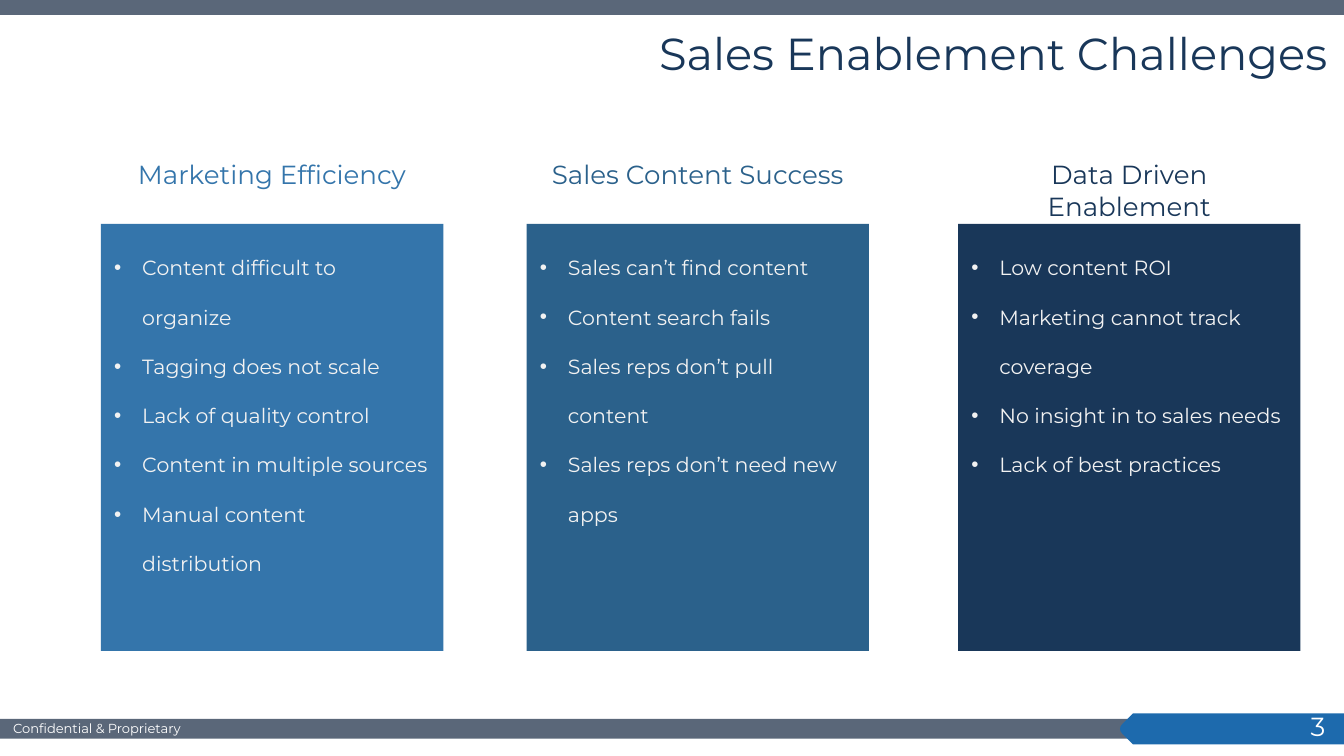
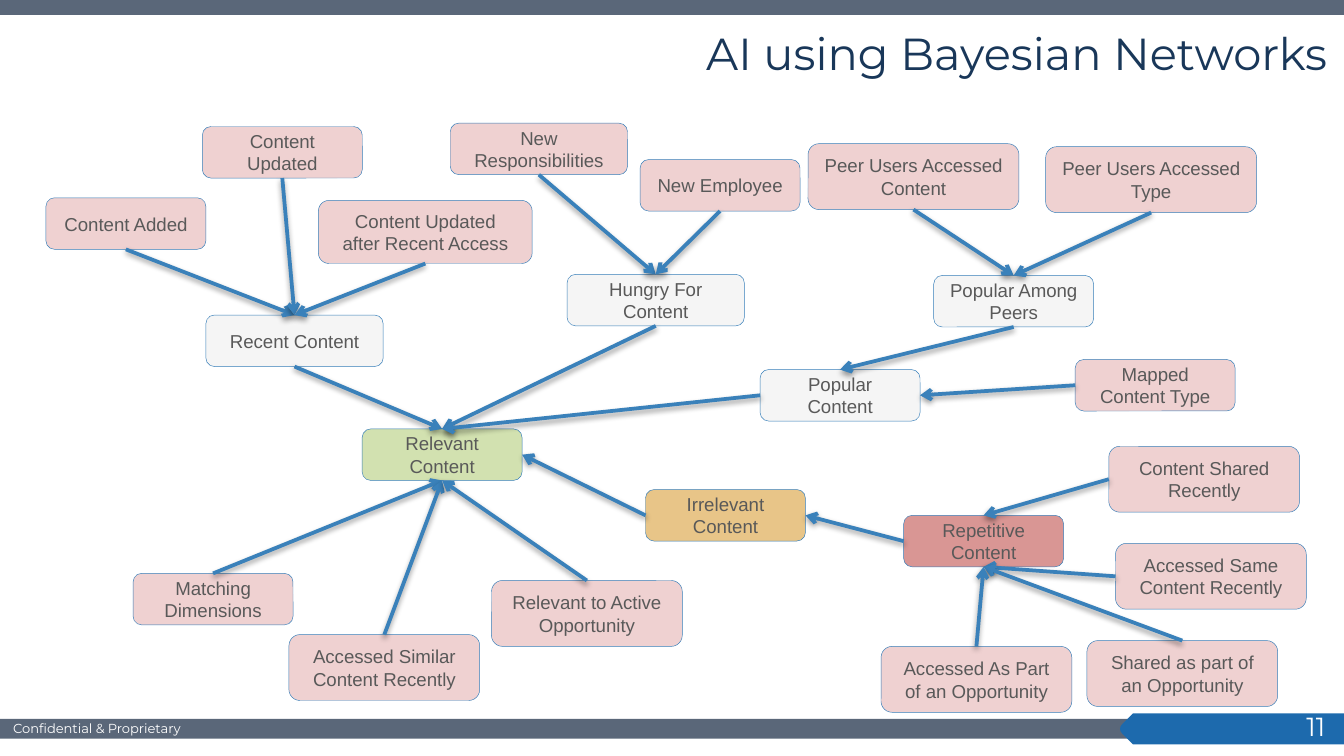
from dataclasses import dataclass

from lxml.etree import SubElement
from pptx import Presentation
from pptx.dml.color import RGBColor
from pptx.enum.shapes import MSO_CONNECTOR as CONN, MSO_SHAPE as SHAPE
from pptx.enum.text import MSO_ANCHOR as ANCHOR, PP_ALIGN as ALIGN
from pptx.oxml.ns import qn
from pptx.util import Pt

SANS, BODY = "Montserrat", "Arial"
WHITE, SLATE, TAG_BLUE, NAVY = "FFFFFF", "5A6779", "1D6AAD", "193759"
CARD_TEXT, NODE_TEXT, NODE_LINE, ARROW = "F2F2F2", "595959", "367EB9", "3A81BA"
PINK, GREY, GREEN, AMBER, RED = "EFD1D1", "F5F5F5", "D2E1B0", "E8C588", "D99694"
TOP, LEFT, BOTTOM, RIGHT = range(4)
SMALL, MEDIUM, LARGE = (85.7, 27.6), (102.2, 35.3), (113, 35.3)
HUB, WIDE = (95, 27.6), (114.5, 33.8)
CARD_TOP, CARD_W, CARD_H = 120, 183.4, 228.8
TAG_OUTLINE = [(720, 382.2), (607, 382.2), (601.2, 388), (600.3, 389.2), (600, 390.5),
               (600.3, 391.8), (601.2, 393), (607, 398.8), (720, 398.8)]


@dataclass(frozen=True)
class Card:
    """A headed column of bullet points."""
    left: float
    color: str
    heading: str
    bullets: tuple[str, ...]


@dataclass(frozen=True)
class Node:
    """A labelled box in the network."""
    text: str
    left: float
    top: float
    size: tuple[float, float] = SMALL
    fill: str = PINK


@dataclass(frozen=True)
class Edge:
    """An arrow between the sides of two nodes."""
    start: str
    end: str
    start_side: int = BOTTOM
    end_side: int = TOP


CARDS = [
    Card(54.1, "3475AB", "Marketing Efficiency",
         ("Content difficult to organize", "Tagging does not scale",
          "Lack of quality control", "Content in multiple sources",
          "Manual content distribution")),
    Card(282.2, "2B618B", "Sales Content Success",
         ("Sales can’t find content", "Content search fails",
          "Sales reps don’t pull content", "Sales reps don’t need new apps")),
    Card(513.3, NAVY, "Data Driven Enablement",
         ("Low content ROI", "Marketing cannot track coverage",
          "No insight in to sales needs", "Lack of best practices")),
]

NODES = [
    Node("Content Added", 24.6, 106),
    Node("Content Updated", 108.4, 67.8),
    Node("Content Updated after Recent Access", 170.6, 107.4, WIDE),
    Node("New Responsibilities", 241.2, 66, HUB),
    Node("New Employee", 342.9, 85.5),
    Node("Peer Users Accessed Content", 432.9, 77, LARGE),
    Node("Peer Users Accessed Type", 560.2, 78.6, LARGE),
    Node("Mapped Content Type", 576, 192.6),
    Node("Matching Dimensions", 71.3, 307.2),
    Node("Accessed Similar Content Recently", 154.8, 340, MEDIUM),
    Node("Relevant to Active Opportunity", 263.3, 311, MEDIUM),
    Node("Content Shared Recently", 594, 239.1, MEDIUM),
    Node("Accessed Same Content Recently", 597.6, 291.1, MEDIUM),
    Node("Shared as part of an Opportunity", 582.3, 343.2, MEDIUM),
    Node("Accessed As Part of an Opportunity", 472, 346.3, MEDIUM),
    Node("Recent Content", 110.3, 168.8, HUB, GREY),
    Node("Hungry For Content", 303.8, 147, HUB, GREY),
    Node("Popular Among Peers", 500.2, 147.6, SMALL, GREY),
    Node("Popular Content", 407.2, 198, SMALL, GREY),
    Node("Relevant Content", 194, 229.8, SMALL, GREEN),
    Node("Irrelevant Content", 345.8, 262.3, SMALL, AMBER),
    Node("Repetitive Content", 484.1, 276.1, SMALL, RED),
]

EDGES = [
    Edge("Content Added", "Recent Content"),
    Edge("Content Updated", "Recent Content"),
    Edge("Content Updated after Recent Access", "Recent Content"),
    Edge("New Responsibilities", "Hungry For Content"),
    Edge("New Employee", "Hungry For Content"),
    Edge("Peer Users Accessed Content", "Popular Among Peers"),
    Edge("Peer Users Accessed Type", "Popular Among Peers"),
    Edge("Popular Among Peers", "Popular Content"),
    Edge("Mapped Content Type", "Popular Content", LEFT, RIGHT),
    Edge("Recent Content", "Relevant Content"),
    Edge("Hungry For Content", "Relevant Content"),
    Edge("Popular Content", "Relevant Content", LEFT),
    Edge("Irrelevant Content", "Relevant Content", LEFT, RIGHT),
    Edge("Matching Dimensions", "Relevant Content", TOP, BOTTOM),
    Edge("Accessed Similar Content Recently", "Relevant Content", TOP, BOTTOM),
    Edge("Relevant to Active Opportunity", "Relevant Content", TOP, BOTTOM),
    Edge("Repetitive Content", "Irrelevant Content", LEFT, RIGHT),
    Edge("Content Shared Recently", "Repetitive Content", LEFT),
    Edge("Accessed Same Content Recently", "Repetitive Content", LEFT, BOTTOM),
    Edge("Shared as part of an Opportunity", "Repetitive Content", TOP, BOTTOM),
    Edge("Accessed As Part of an Opportunity", "Repetitive Content", TOP, BOTTOM),
]


def rgb(color: str) -> RGBColor:
    """Turn a hex string into a colour."""
    return RGBColor.from_string(color)


def paint(sp, fill: str, line: str | None = None):
    """Give a shape a flat fill and an optional hairline."""
    sp.shadow.inherit = False
    sp.fill.solid()
    sp.fill.fore_color.rgb = rgb(fill)
    if line:
        sp.line.color.rgb = rgb(line)
        sp.line.width = Pt(0.25)
    else:
        sp.line.fill.background()
    return sp


def add_box(s, kind, left: float, top: float, width: float, height: float,
            fill: str, line: str | None = None):
    """Draw a painted preset shape."""
    sp = s.shapes.add_shape(kind, Pt(left), Pt(top), Pt(width), Pt(height))
    return paint(sp, fill, line)


def add_label(s, left: float, top: float, width: float, height: float, text: str, **fmt) -> None:
    """Place a formatted text box."""
    sp = s.shapes.add_textbox(Pt(left), Pt(top), Pt(width), Pt(height))
    write(sp, text, **fmt)


def write(sp, text: str, *, size: float, color: str, font: str = SANS, align=ALIGN.LEFT,
          anchor=ANCHOR.TOP, inset: float = 3.6,
          spacing: float | None = None, bullet: bool = False) -> None:
    """Fill a shape with text, one paragraph per line."""
    tf = sp.text_frame
    tf.word_wrap = True
    tf.vertical_anchor = anchor
    tf.margin_left = tf.margin_right = Pt(7.2)
    tf.margin_top = tf.margin_bottom = Pt(inset)
    for i, line in enumerate(text.split("\n")):
        p = tf.add_paragraph() if i else tf.paragraphs[0]
        p.alignment = align
        if spacing:
            p.line_spacing = spacing
        if bullet:
            pPr = p._p.get_or_add_pPr()
            pPr.set("marL", str(Pt(15)))
            pPr.set("indent", str(-Pt(15)))
            SubElement(pPr, qn("a:buFont"), typeface="Arial")
            SubElement(pPr, qn("a:buChar"), char="•")
        r = p.add_run()
        r.text = line
        r.font.name = font
        r.font.size = Pt(size)
        r.font.color.rgb = rgb(color)


def add_frame(prs, title: str, number: int):
    """Start a slide with its bands, footer, number and title."""
    s = prs.slides.add_slide(prs.slide_layouts[6])
    add_box(s, SHAPE.RECTANGLE, 0, 385.2, 680, 10.6, SLATE)
    fb = s.shapes.build_freeform(*map(Pt, TAG_OUTLINE[0]), scale=1.0)
    fb.add_line_segments([(Pt(x), Pt(y)) for x, y in TAG_OUTLINE[1:]], close=True)
    paint(fb.convert_to_shape(), TAG_BLUE)
    add_label(s, 0, 382.3, 150, 15.8, "Confidential & Proprietary", size=7, color=WHITE)
    add_box(s, SHAPE.RECTANGLE, 0, 0, 720, 8, SLATE)
    add_label(s, 673.9, 373.5, 43.2, 31, str(number), size=14, color=WHITE,
              align=ALIGN.RIGHT, anchor=ANCHOR.MIDDLE, inset=7.2)
    add_label(s, 114, 9, 604, 41, title, size=24, color=NAVY,
              align=ALIGN.RIGHT, anchor=ANCHOR.BOTTOM, inset=7.2)
    return s


def add_card(s, card: Card) -> None:
    """Draw a column with its heading."""
    sp = add_box(s, SHAPE.RECTANGLE, card.left, CARD_TOP, CARD_W, CARD_H, card.color)
    write(sp, "\n".join(card.bullets), size=11, color=CARD_TEXT, spacing=2.0, bullet=True)
    add_label(s, card.left, 81.4, CARD_W, 24.5, card.heading, size=14,
              color=card.color, align=ALIGN.CENTER)


def add_node(s, node: Node):
    """Draw a rounded box with its label."""
    sp = add_box(s, SHAPE.ROUNDED_RECTANGLE, node.left, node.top, *node.size,
                 node.fill, NODE_LINE)
    write(sp, node.text, size=10, color=NODE_TEXT, font=BODY,
          align=ALIGN.CENTER, anchor=ANCHOR.MIDDLE)
    return sp


def add_arrow(s, start, start_side: int, end, end_side: int) -> None:
    """Join two shapes with a softly shadowed arrow."""
    cx = s.shapes.add_connector(CONN.STRAIGHT, 0, 0, 0, 0)
    cx.begin_connect(start, start_side)
    cx.end_connect(end, end_side)
    cx.line.color.rgb = rgb(ARROW)
    cx.line.width = Pt(2)
    spPr = cx.element.spPr
    SubElement(spPr.find(qn("a:ln")), qn("a:tailEnd"), type="arrow")
    effects = SubElement(spPr, qn("a:effectLst"))
    shadow = SubElement(effects, qn("a:outerShdw"), blurRad=str(Pt(3.1)),
                        dist=str(Pt(1.6)), dir="5400000", rotWithShape="0")
    black = SubElement(shadow, qn("a:srgbClr"), val="000000")
    SubElement(black, qn("a:alpha"), val="38000")


def build_challenges(prs) -> None:
    """Build the slide of three challenge columns."""
    s = add_frame(prs, "Sales Enablement Challenges", 3)
    for card in CARDS:
        add_card(s, card)


def build_network(prs) -> None:
    """Build the slide of the content network."""
    s = add_frame(prs, "AI using Bayesian Networks", 11)
    boxes = {node.text: add_node(s, node) for node in NODES}
    for edge in EDGES:
        add_arrow(s, boxes[edge.start], edge.start_side, boxes[edge.end], edge.end_side)


def main() -> None:
    """Build and save the presentation."""
    prs = Presentation()
    prs.slide_width, prs.slide_height = Pt(720), Pt(405)
    build_challenges(prs)
    build_network(prs)
    prs.save("out.pptx")


if __name__ == "__main__":
    main()
